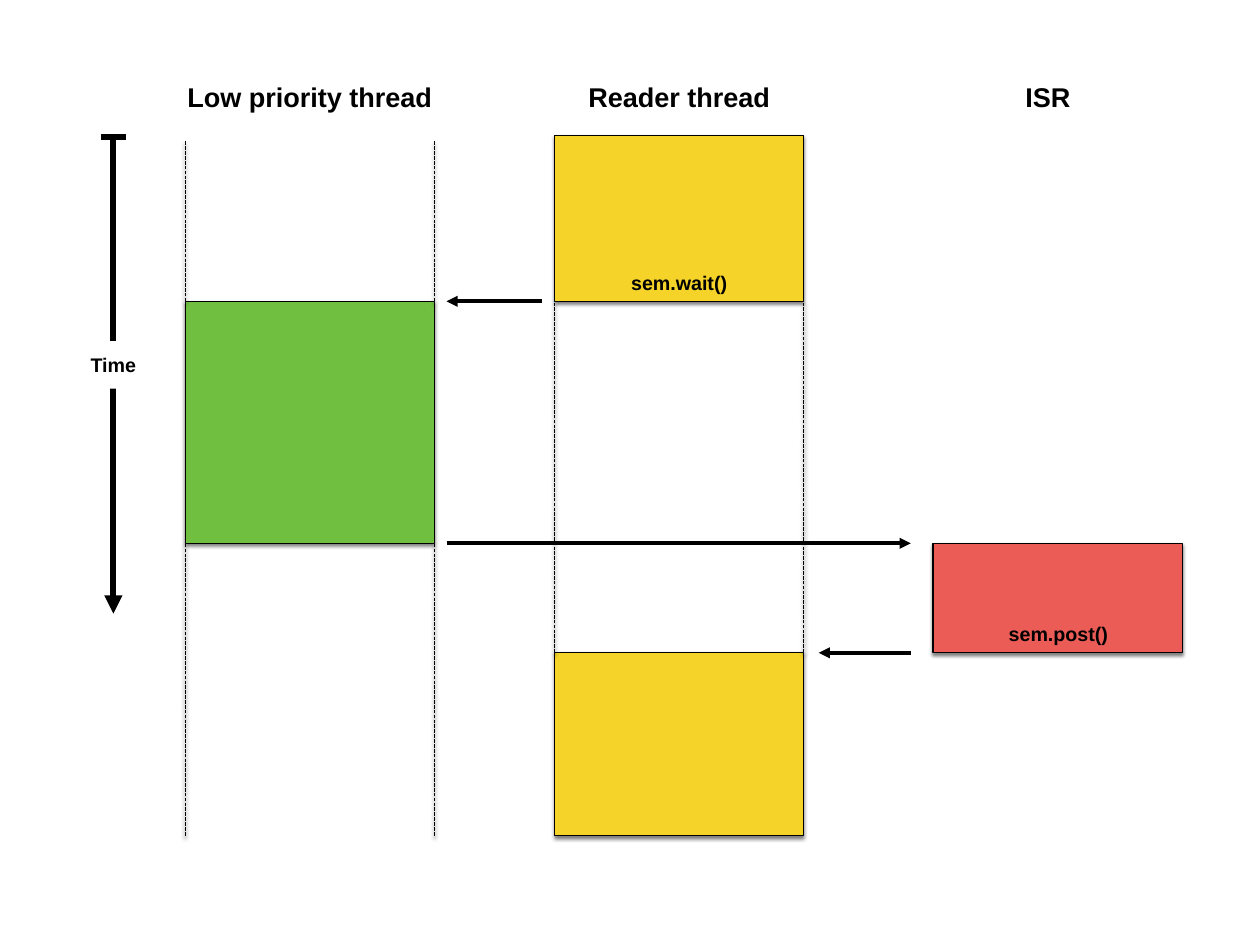
from pptx import Presentation
from pptx.dml.color import RGBColor
from pptx.enum.dml import MSO_LINE
from pptx.enum.shapes import MSO_CONNECTOR, MSO_SHAPE
from pptx.enum.text import MSO_ANCHOR, PP_ALIGN
from pptx.oxml import parse_xml
from pptx.oxml.ns import nsdecls
from pptx.util import Cm, Pt

BLACK = RGBColor(0x00, 0x00, 0x00)
WHITE = RGBColor(0xFF, 0xFF, 0xFF)
YELLOW = RGBColor(0xF5, 0xD3, 0x28)
GREEN = RGBColor(0x70, 0xBF, 0x41)
RED = RGBColor(0xEC, 0x5C, 0x57)

RECTANGLE = MSO_SHAPE.RECTANGLE
STRAIGHT = MSO_CONNECTOR.STRAIGHT
DASHED = MSO_LINE.SQUARE_DOT
MIDDLE = MSO_ANCHOR.MIDDLE
CENTER = PP_ALIGN.CENTER

# Column edges and event times, in centimetres
BLOCK_WIDTH = 7.14
LOW_LEFT, READER_LEFT, ISR_LEFT = 5.31, 15.9, 26.75
START, WAIT, INTERRUPT, POST, END = 3.89, 8.64, 15.58, 18.72, 23.96
TIME_X = 3.25


def set_effects(shape, shadow):
    properties = shape._element.spPr
    for old in properties.findall(".//{*}effectLst"):
        properties.remove(old)
    effect = (
        '<a:outerShdw blurRad="38100" dist="25400" dir="5400000" rotWithShape="0">'
        '<a:srgbClr val="000000"><a:alpha val="50000"/></a:srgbClr></a:outerShdw>'
    ) if shadow else ""
    properties.append(parse_xml(
        f'<a:effectLst {nsdecls("a")}>{effect}</a:effectLst>'))


def add_block(slide, left, top, bottom, color):
    block = slide.shapes.add_shape(
        RECTANGLE, Cm(left), Cm(top), Cm(BLOCK_WIDTH), Cm(bottom - top))
    block.fill.solid()
    block.fill.fore_color.rgb = color
    block.line.color.rgb = BLACK
    block.line.width = Pt(1)
    set_effects(block, shadow=True)


def add_label(slide, text, center, top, width, height, size):
    label = slide.shapes.add_textbox(
        Cm(center - width / 2), Cm(top), Cm(width), Cm(height))
    frame = label.text_frame
    frame.word_wrap = True
    frame.vertical_anchor = MIDDLE
    frame.margin_left = frame.margin_right = Cm(0.15)
    frame.margin_top = frame.margin_bottom = Cm(0.15)
    paragraph = frame.paragraphs[0]
    paragraph.text = text
    paragraph.alignment = CENTER
    paragraph.font.name = "Arial"
    paragraph.font.size = Pt(size)
    paragraph.font.bold = True
    paragraph.font.color.rgb = BLACK
    return label


def add_line(slide, start, end, width, arrow=False, dashed=False):
    line = slide.shapes.add_connector(
        STRAIGHT, Cm(start[0]), Cm(start[1]), Cm(end[0]), Cm(end[1]))
    line.line.color.rgb = BLACK
    line.line.width = Pt(width)
    if dashed:
        line.line.dash_style = DASHED
    if arrow:
        line.line._get_or_add_ln().append(
            parse_xml(f'<a:tailEnd {nsdecls("a")} type="triangle"/>'))
    set_effects(line, shadow=dashed)


def main():
    presentation = Presentation()
    presentation.slide_width = Cm(36.12)
    presentation.slide_height = Cm(27.1)
    slide = presentation.slides.add_slide(presentation.slide_layouts[6])

    # Running periods of each thread
    for left, top, bottom, color in (
        (READER_LEFT, START, WAIT, YELLOW),
        (LOW_LEFT, WAIT, INTERRUPT, GREEN),
        (READER_LEFT, POST, END, YELLOW),
        (ISR_LEFT, INTERRUPT, POST, RED),
    ):
        add_block(slide, left, top, bottom, color)

    # Column headings
    for text, center in (
        ("Low priority thread", 8.88), ("Reader thread", 19.47), ("ISR", 30.04),
    ):
        add_label(slide, text, center, 2.18, 7.85, 1.19, 22)

    # Time axis, interrupted by its label
    add_line(slide, (TIME_X, 3.94), (TIME_X, 17.6), 5, arrow=True)
    time_label = add_label(slide, "Time", TIME_X, 9.78, 3.38, 1.37, 16)
    time_label.fill.solid()
    time_label.fill.fore_color.rgb = WHITE
    add_line(slide, (TIME_X - 0.36, 3.94), (TIME_X + 0.36, 3.94), 5)

    # Switches between threads
    for start_x, end_x, y in (
        (12.8, 26.11, INTERRUPT), (26.11, 23.47, POST), (15.54, 12.8, WAIT),
    ):
        add_line(slide, (start_x, y), (end_x, y), 3, arrow=True)

    # Semaphore calls
    add_label(slide, "sem.wait()", 19.47, 7.62, 7.85, 0.97, 16)
    add_label(slide, "sem.post()", 30.34, 17.7, 7.19, 0.97, 16)

    # Dashed outlines of the waiting periods
    for left, top, bottom in (
        (LOW_LEFT, 4.04, WAIT),
        (LOW_LEFT, INTERRUPT, END),
        (READER_LEFT, WAIT, POST),
    ):
        for x in (left, left + BLOCK_WIDTH):
            add_line(slide, (x, bottom), (x, top), 1, dashed=True)

    presentation.save("out.pptx")


if __name__ == "__main__":
    main()
